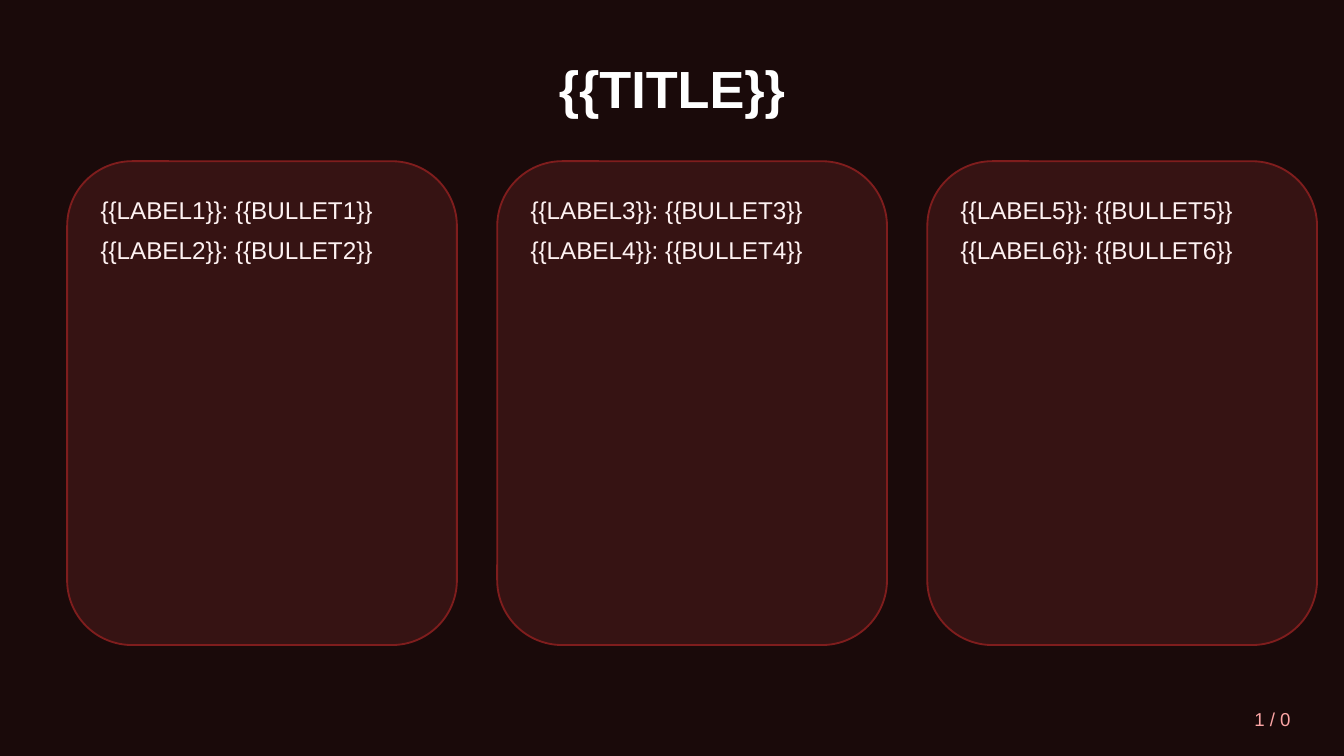
from collections import namedtuple

from lxml.etree import SubElement
from pptx import Presentation
from pptx.dml.color import RGBColor
from pptx.enum.shapes import MSO_SHAPE
from pptx.enum.text import MSO_ANCHOR, PP_ALIGN
from pptx.oxml.ns import qn
from pptx.util import Inches, Pt

SLIDE_WIDTH = Inches(10)
SLIDE_HEIGHT = SLIDE_WIDTH * 9 // 16
GRID = SLIDE_WIDTH // 100
CARD_COUNT = 3
CARD_GAP = 3
LINES_PER_CARD = 2

Box = namedtuple("Box", "left top width height")


def set_color(color_format, hex_color):
    color_format.rgb = RGBColor.from_string(hex_color)


def on_grid(box):
    return [round(length * GRID) for length in box]


def add_text(slide, box, text, size, color, bold=False,
             align=PP_ALIGN.LEFT, anchor=MSO_ANCHOR.TOP, space_after=0):
    text_frame = slide.shapes.add_textbox(*on_grid(box)).text_frame
    text_frame.word_wrap = True
    text_frame.vertical_anchor = anchor
    text_frame.text = text
    for paragraph in text_frame.paragraphs:
        paragraph.alignment = align
        paragraph.space_after = Pt(space_after)
        for run in paragraph.runs:
            run.font.name = "Arial"
            run.font.size = Pt(size)
            run.font.bold = bold
            set_color(run.font.color, color)


def add_title(slide, box):
    add_text(slide, box, "{{TITLE}}", 28, "FFFFFF", bold=True,
             align=PP_ALIGN.CENTER, anchor=MSO_ANCHOR.MIDDLE)


def add_card(slide, box, numbers):
    shape = slide.shapes.add_shape(MSO_SHAPE.ROUNDED_RECTANGLE, *on_grid(box))
    shape.shadow.inherit = False
    shape.fill.solid()
    set_color(shape.fill.fore_color, "3A1515")
    fill_color = shape.fill._xPr.find(qn("a:solidFill"))[0]
    SubElement(fill_color, qn("a:alpha"), val="90000")
    set_color(shape.line.color, "7F1D1D")
    shape.line.width = Pt(1)

    text_box = Box(box.left + 1.5, box.top + 2, box.width - 3, box.height - 4)
    lines = [f"{{{{LABEL{number}}}}}: {{{{BULLET{number}}}}}" for number in numbers]
    add_text(slide, text_box, "\n".join(lines), 13, "FEF2F2", space_after=6)


def add_cards(slide, box):
    width = (box.width - CARD_GAP * (CARD_COUNT - 1)) / CARD_COUNT
    for index in range(CARD_COUNT):
        left = box.left + index * (width + CARD_GAP)
        first = index * LINES_PER_CARD + 1
        add_card(slide, Box(left, box.top, width, box.height),
                 range(first, first + LINES_PER_CARD))


def add_page_number(slide, box):
    add_text(slide, box, "1 / 0", 10, "FCA5A5",
             align=PP_ALIGN.RIGHT, anchor=MSO_ANCHOR.MIDDLE)


def main():
    presentation = Presentation()
    presentation.slide_width = SLIDE_WIDTH
    presentation.slide_height = SLIDE_HEIGHT
    slide = presentation.slides.add_slide(presentation.slide_layouts[6])
    slide.background.fill.solid()
    set_color(slide.background.fill.fore_color, "1A0A0A")

    add_title(slide, Box(5, 3, 90, 7))
    add_cards(slide, Box(5, 12, 93, 36))
    add_page_number(slide, Box(85, 52, 12, 3))
    presentation.save("out.pptx")


if __name__ == "__main__":
    main()
